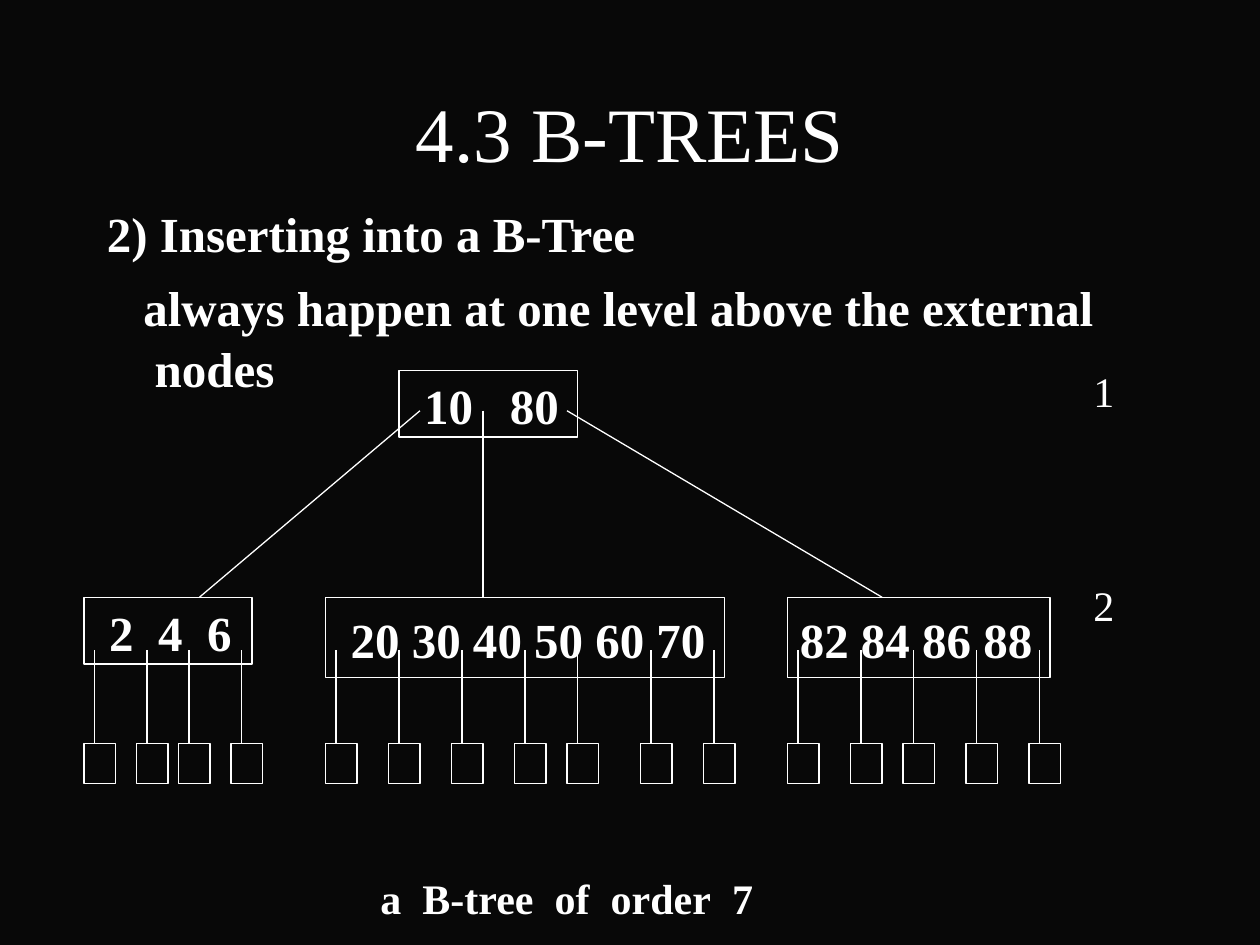
from typing import NamedTuple

from lxml.etree import SubElement
from pptx import Presentation
from pptx.dml.color import RGBColor
from pptx.enum.shapes import MSO_CONNECTOR as Connector, MSO_SHAPE as Shape
from pptx.enum.text import MSO_ANCHOR as Anchor, PP_ALIGN as Align
from pptx.oxml.ns import qn
from pptx.util import Inches, Length, Pt

BLACK = RGBColor(0x08, 0x08, 0x08)
WHITE = RGBColor(0xFF, 0xFF, 0xFF)
FONT = "Times New Roman"
LINE_SPACING = 1.05
LEAF_TOP, BRANCH_TOP = 5.9, 5.16


class Label(NamedTuple):
    text: str
    left: float
    top: float
    width: float
    height: float
    size: int = 24
    bold: bool = False
    inset: float = 0.1
    extra_gap: int = 0  # points added to each word space
    anchor: Anchor = Anchor.TOP
    align: Align = Align.LEFT


class Node(NamedTuple):
    label: Label
    leaves: tuple[int, ...] = ()  # left edges in grid columns


class Edge(NamedTuple):
    start: int
    end: int


def column(number: int) -> float:
    """Position in inches on the grid of twelfths."""
    return number / 12


def node(keys: str, left: int, width: int, top: float, height: float,
         inset: float = 0.2, extra_gap: int = 0, leaves: tuple[int, ...] = ()) -> Node:
    return Node(Label(keys, column(left), top, column(width), height, 28, True,
                      inset, extra_gap, Anchor.MIDDLE), leaves)


def add_span(para, text: str, size: int, bold: bool, spacing: int = 0) -> None:
    span = para.add_run()
    span.text = text
    span.font.name = FONT
    span.font.size = Pt(size)
    span.font.bold = bold
    span.font.color.rgb = WHITE
    if spacing:
        span.font._element.set("spc", str(spacing * 100))


def write(box, label: Label) -> None:
    frame = box.text_frame
    frame.word_wrap = True
    frame.vertical_anchor = label.anchor
    frame.margin_left, frame.margin_right = Inches(label.inset), 0
    frame.margin_top = frame.margin_bottom = Inches(0.05)
    para = frame.paragraphs[0]
    para.alignment = label.align
    para.line_spacing = LINE_SPACING
    if not label.extra_gap:
        add_span(para, label.text, label.size, label.bold)
        return
    for index, word in enumerate(label.text.split()):
        if index:
            add_span(para, " ", label.size, label.bold, label.extra_gap)
        add_span(para, word, label.size, label.bold)


def frame_of(label: Label) -> list[Length]:
    return [Inches(v) for v in (label.left, label.top, label.width, label.height)]


def add_label(page, label: Label):
    box = page.shapes.add_textbox(*frame_of(label))
    write(box, label)
    return box


def add_outline(page, *place: Length):
    box = page.shapes.add_shape(Shape.RECTANGLE, *place)
    box.shadow.inherit = False
    box.fill.background()
    box.line.color.rgb = WHITE
    box.line.width = Pt(0.75)
    return box


def add_line(page, x1: float, y1: float, x2: float, y2: float) -> None:
    line = page.shapes.add_connector(
        Connector.STRAIGHT, Inches(x1), Inches(y1), Inches(x2), Inches(y2))
    line.line.color.rgb = WHITE
    line.line.width = Pt(0.75)
    SubElement(line._element.spPr, qn("a:effectLst"))


def add_leaf(page, left: int) -> None:
    add_outline(page, Inches(column(left)), Inches(LEAF_TOP), Inches(0.25), Inches(0.32))
    branch = column(left + 1)
    add_line(page, branch, BRANCH_TOP, branch, LEAF_TOP)


TITLE = Label("4.3 B-TREES", 0.75, 0.44, 8.5, 1.18, 44, inset=0,
              anchor=Anchor.MIDDLE, align=Align.CENTER)
HEADING = Label("2) Inserting into a B-Tree", 0.75, 1.54, 8.5, 1.6, 28, True)
RULE = "always happen at one level above the external nodes"
NODES = (
    node("10 80", 38, 17, 2.94, 0.53, extra_gap=14),
    node("2 4 6", 8, 16, 4.74, 0.53, extra_gap=7, leaves=(8, 13, 17, 22)),
    node("20 30 40 50 60 70", 31, 38, 4.74, 0.64, leaves=(31, 37, 43, 49, 54, 61, 67)),
    node("82 84 86 88", 75, 25, 4.74, 0.64, inset=0.1, leaves=(75, 81, 86, 92, 98)),
)
EDGES = (Edge(40, 19), Edge(46, 46), Edge(54, 84))
LABELS = (
    Label("1", 8.58, 2.83, 0.33, 0.5),
    Label("2", 8.58, 4.53, 0.33, 0.5),
    Label("a B-tree of order 7", 2.42, 6.86, 4.67, 0.5, bold=True, inset=0.6, extra_gap=6),
)


def main() -> None:
    deck = Presentation()
    deck.slide_width, deck.slide_height = Inches(10), Inches(7.5)
    page = deck.slides.add_slide(deck.slide_layouts[6])
    page.background.fill.solid()
    page.background.fill.fore_color.rgb = BLACK

    # Title and rule
    add_label(page, TITLE)
    body = add_label(page, HEADING)
    para = body.text_frame.add_paragraph()
    para.space_before = Pt(7)
    para.line_spacing = LINE_SPACING
    properties = para._p.get_or_add_pPr()
    properties.set("marL", str(Inches(0.38)))
    properties.set("indent", str(Inches(-0.09)))
    add_span(para, RULE, HEADING.size, HEADING.bold)

    # Nodes of the tree
    for item in NODES:
        write(add_outline(page, *frame_of(item.label)), item.label)

    # Edges from the root, then external nodes
    for edge in EDGES:
        add_line(page, column(edge.start), 3.26, column(edge.end), 4.74)
    for item in NODES:
        for left in item.leaves:
            add_leaf(page, left)

    # Level numbers and caption
    for label in LABELS:
        add_label(page, label)

    deck.save("out.pptx")


if __name__ == "__main__":
    main()
